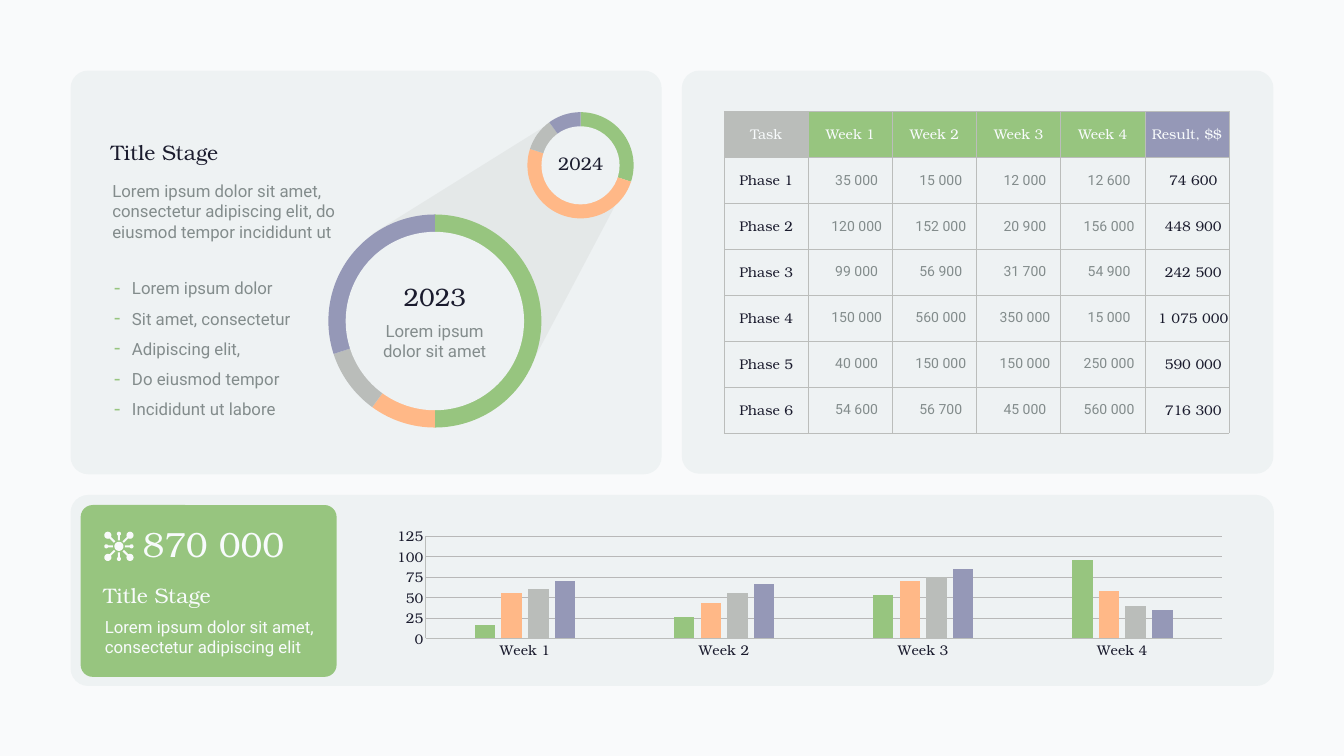
from dataclasses import dataclass
from math import asin, cos, hypot, pi, sin

from lxml.etree import SubElement
from pptx import Presentation
from pptx.chart.data import CategoryChartData
from pptx.dml.color import RGBColor as RGB
from pptx.enum.chart import XL_CHART_TYPE as ChartType, XL_TICK_MARK as TickMark
from pptx.enum.shapes import MSO_SHAPE as Shape
from pptx.enum.text import MSO_ANCHOR as Anchor, MSO_AUTO_SIZE as AutoSize, PP_ALIGN as Align
from pptx.oxml import parse_xml
from pptx.oxml.ns import nsdecls, qn
from pptx.util import Inches, Pt


@dataclass(frozen=True)
class Theme:
    serif: str = "TeX Gyre Bonum"
    sans: str = "Roboto"
    page: str = "F9FAFB"
    panel: str = "EEF2F3"
    light: str = "F8FBFC"
    dark: str = "1B1C2E"
    muted: str = "838C8C"
    green: str = "97C57F"
    orange: str = "FFB887"
    gray: str = "BABDBA"
    violet: str = "9598B7"
    line: str = "BBBDBB"
    grid: str = "B8B8B8"
    small: int = 20
    body: int = 24
    year: int = 26
    heading: int = 30
    big_year: int = 36
    total: int = 50

    @property
    def series(self):
        return self.green, self.orange, self.gray, self.violet


THEME = Theme()
NO_BREAK_SPACE = chr(160)
WEEKS = [f"Week {number}" for number in range(1, 5)]
RESULTS = [
    (35000, 15000, 12000, 12600, 74600),
    (120000, 152000, 20900, 156000, 448900),
    (99000, 56900, 31700, 54900, 242500),
    (150000, 560000, 350000, 15000, 1075000),
    (40000, 150000, 150000, 250000, 590000),
    (54600, 56700, 45000, 560000, 716300),
]
WEEKLY_SERIES = [(17, 26, 53, 96), (55, 43, 70, 58), (60, 55, 75, 40), (70, 67, 85, 35)]
BULLETS = ["Lorem ipsum dolor", "Sit amet, consectetur", "Adipiscing elit,",
           "Do eiusmod tempor", "Incididunt ut labore"]


def inches(*lengths):
    return [Inches(length) for length in lengths]


def apply(target, values):
    for name, value in values.items():
        setattr(target, name, value)


def style_font(font, size, color, face):
    apply(font, {"size": Pt(size), "name": face, "bold": False})
    font.color.rgb = RGB.from_string(color)


def style_line(line, color):
    line.color.rgb = RGB.from_string(color)
    line.width = Pt(1)


def paint(fill, color):
    fill.solid()
    fill.fore_color.rgb = RGB.from_string(color)


def circle_arc(x, y, radius, start, sweep, steps=24):
    angles = [start + sweep * step / steps for step in range(steps + 1)]
    return [(x + radius * cos(angle), y + radius * sin(angle)) for angle in angles]


def hub_contours(x, y):
    """Outlines of a round hub with eight arms that end in dots."""
    contours = [circle_arc(x, y, 0.09, 0, 2 * pi)]
    half_width, inner = 0.02, 0.12
    for arm in range(8):
        angle = arm * pi / 4
        radius, reach = (0.07, hypot(0.22, 0.22)) if arm % 2 else (0.04, 0.25)
        joint = asin(half_width / radius)
        outline = [(inner, half_width), (inner, -half_width)]
        outline += circle_arc(reach, 0, radius, pi + joint, 2 * pi - 2 * joint)
        contours.append([(x + a * cos(angle) - b * sin(angle),
                          y + a * sin(angle) + b * cos(angle)) for a, b in outline])
    return contours


class SlideBuilder:
    def __init__(self, page, theme):
        self.page, self.theme = page, theme
        page.background.fill.solid()
        page.background.fill.fore_color.rgb = RGB.from_string(theme.page)

    def finish_shape(self, shape, color):
        shape.shadow.inherit = False
        paint(shape.fill, color)
        shape.line.fill.background()

    def panel(self, left, top, width, height, color, radius=0.35):
        box = self.page.shapes.add_shape(
            Shape.ROUNDED_RECTANGLE, *inches(left, top, width, height))
        box.adjustments[0] = radius / min(width, height)
        self.finish_shape(box, color)

    def outline(self, contours, color, opacity=None):
        contours = [[inches(*point) for point in contour] for contour in contours]
        builder = self.page.shapes.build_freeform(*contours[0][0])
        builder.add_line_segments(contours[0][1:])
        for contour in contours[1:]:
            builder.move_to(*contour[0])
            builder.add_line_segments(contour[1:])
        shape = builder.convert_to_shape()
        self.finish_shape(shape, color)
        if opacity:
            tint = shape.element.xpath("./p:spPr/a:solidFill/a:srgbClr")[0]
            SubElement(tint, qn("a:alpha"), val=str(opacity * 1000))

    def fill_text(self, box, lines, size, color, face, align=Align.LEFT, bullet=False):
        frame = box.text_frame
        apply(frame, {"word_wrap": True, "auto_size": AutoSize.SHAPE_TO_FIT_TEXT,
                      "vertical_anchor": Anchor.TOP,
                      **{f"margin_{side}": Inches(0.06)
                         for side in ("left", "right", "top", "bottom")}})
        for index, line in enumerate(lines):
            para = frame.add_paragraph() if index else frame.paragraphs[0]
            para.alignment = align
            if bullet:
                self.add_bullet(para)
            span = para.add_run()
            span.text = line
            style_font(span.font, size, color, face)

    def add_bullet(self, para):
        para.line_spacing = 1.5
        props = para._p.get_or_add_pPr()
        props.set("marL", str(Inches(0.35)))
        props.set("indent", str(-Inches(0.35)))
        SubElement(SubElement(props, qn("a:buClr")), qn("a:srgbClr"), val=self.theme.green)
        SubElement(props, qn("a:buSzPct"), val="125000")
        SubElement(props, qn("a:buFont"), typeface=self.theme.sans)
        SubElement(props, qn("a:buChar"), char="-")

    def text(self, place, lines, *style, **options):
        box = self.page.shapes.add_textbox(*inches(*place))
        self.fill_text(box, lines, *style, **options)

    def title(self, place, text, *style):
        box = self.page.shapes.title
        apply(box, dict(zip(("left", "top", "width", "height"), inches(*place))))
        self.fill_text(box, [text], *style)
        box.element.getparent().append(box.element)  # bring in front of the panels

    def chart(self, kind, place, categories, series, layout):
        data = CategoryChartData()
        data.categories = categories
        for number, values in enumerate(series, 1):
            data.add_series(f"Series {number}", values)
        chart = self.page.shapes.add_chart(kind, *inches(*place), data).chart
        apply(chart, {"has_legend": False, "has_title": False})
        style_font(chart.font, self.theme.small, self.theme.dark, self.theme.serif)
        area = chart.element.xpath(".//c:plotArea")[0]
        for old in area.findall(qn("c:layout")):
            area.remove(old)
        sizes = "".join(f'<c:{key} val="{value}"/>' for key, value in zip("xywh", layout))
        area.insert(0, parse_xml(
            f'<c:layout {nsdecls("c")}><c:manualLayout><c:layoutTarget val="inner"/>'
            f'<c:xMode val="edge"/><c:yMode val="edge"/>{sizes}</c:manualLayout></c:layout>'))
        return chart

    def ring(self, x, y, size, hole, values):
        """Pie centred on x, y with a round hole laid over it."""
        place = (x - size / 2, y - size / 2, size, size)
        chart = self.chart(ChartType.PIE, place, "1234", [values], (0.005, 0.005, 0.99, 0.99))
        for index, color in enumerate(self.theme.series):
            paint(chart.plots[0].series[0].points[index].format.fill, color)
        center = self.page.shapes.add_shape(
            Shape.OVAL, *inches(x - hole / 2, y - hole / 2, hole, hole))
        self.finish_shape(center, self.theme.panel)

    def columns(self, place, categories, series):
        chart = self.chart(ChartType.COLUMN_CLUSTERED, place, categories, series,
                           (0.043, 0.122, 0.952, 0.688))
        apply(chart.plots[0], {"gap_width": 480, "overlap": -30, "vary_by_categories": False})
        for item, color in zip(chart.plots[0].series, self.theme.series):
            paint(item.format.fill, color)
        apply(chart.value_axis, {"minimum_scale": 0, "maximum_scale": 125, "major_unit": 25})
        for axis in (chart.category_axis, chart.value_axis):
            apply(axis, {"major_tick_mark": TickMark.NONE, "minor_tick_mark": TickMark.NONE})
            style_line(axis.format.line, self.theme.line)
            style_font(axis.tick_labels.font, self.theme.small, self.theme.dark, self.theme.serif)
        style_line(chart.value_axis.major_gridlines.format.line, self.theme.grid)

    def table(self, place, rows):
        theme, last = self.theme, len(rows[0]) - 1
        table = self.page.shapes.add_table(len(rows), last + 1, *inches(*place)).table
        apply(table, {"first_row": False, "horz_banding": False})
        for r, row in enumerate(rows):
            for c, value in enumerate(row):
                cell, edge = table.cell(r, c), c in (0, last)
                if r == 0:
                    paint(cell.fill, {0: theme.gray, last: theme.violet}.get(c, theme.green))
                    style = theme.light, theme.serif
                else:
                    cell.fill.background()
                    style = (theme.dark, theme.serif) if edge else (theme.muted, theme.sans)
                self.fill_cell(cell, value, style, 0.25 if r and c else 0)

    def fill_cell(self, cell, value, style, indent):
        apply(cell, {"vertical_anchor": Anchor.MIDDLE, "margin_left": 0, "margin_right": 0,
                     "margin_top": 0, "margin_bottom": 0})
        para = cell.text_frame.paragraphs[0]
        para.alignment = Align.CENTER
        para._p.get_or_add_pPr().set("indent", str(Inches(indent)))
        span = para.add_run()
        span.text = value
        style_font(span.font, self.theme.small, *style)
        for index, side in enumerate(("lnL", "lnR", "lnT", "lnB")):
            cell._tc.get_or_add_tcPr().insert(index, parse_xml(
                f'<a:{side} {nsdecls("a")} w="{Pt(1)}"><a:solidFill>'
                f'<a:srgbClr val="{self.theme.line}"/></a:solidFill></a:{side}>'))


def main():
    deck = Presentation()
    deck.slide_width, deck.slide_height = inches(26.67, 15)
    t = THEME
    board = SlideBuilder(deck.slides.add_slide(deck.slide_layouts[5]), t)

    for place in ((1.4, 9.82, 23.88, 3.79), (1.4, 1.4, 11.73, 8.01), (13.53, 1.4, 11.74, 8)):
        board.panel(*place, t.panel)
    board.panel(1.6, 10.02, 5.08, 3.41, t.green, radius=0.24)
    board.text((2.02, 12.17, 4.39, 0.92),
               ["Lorem ipsum dolor sit amet, consectetur adipiscing elit"], t.body, t.light, t.sans)
    board.text((1.99, 11.5, 2.74, 0.62), ["Title Stage"], t.heading, t.light, t.serif)
    board.text((2.77, 10.3, 3.17, 0.95), ["870 000"], t.total, t.light, t.serif)
    board.outline(hub_contours(2.36, 10.84), t.page)

    board.outline([[(7.39, 4.64), (11.03, 2.37), (12.21, 4.07), (10.34, 7.61)]], t.gray, opacity=19)
    board.ring(8.63, 6.37, 4.27, 3.54, (50, 10, 10, 30))
    board.ring(11.52, 3.28, 2.13, 1.55, (30, 50, 10, 10))
    board.text((7.26, 5.53, 2.74, 0.72), ["2023"], t.big_year, t.dark, t.serif, align=Align.CENTER)
    board.text((10.92, 2.96, 1.21, 0.55), ["2024"], t.year, t.dark, t.serif, align=Align.CENTER)
    board.text((7.3, 6.31, 2.65, 0.92), ["Lorem ipsum dolor sit amet"],
               t.body, t.muted, t.sans, align=Align.CENTER)
    board.text((2.17, 3.53, 5.36, 1.32),
               ["Lorem ipsum dolor sit amet, consectetur adipiscing elit, "
                "do eiusmod tempor incididunt ut"], t.body, t.muted, t.sans)
    board.title((2.14, 2.71, 2.74, 0.62), "Title Stage", t.heading, t.dark, t.serif)
    board.text((2.21, 5.26, 3.74, 3.07), BULLETS, t.body, t.muted, t.sans, bullet=True)

    board.columns((7.73, 10.28, 16.6, 2.95), WEEKS, WEEKLY_SERIES)
    rows = [["Task", *WEEKS, "Result, $$"]]
    for number, values in enumerate(RESULTS, 1):
        amounts = [f"{value:,}".replace(",", NO_BREAK_SPACE) for value in values]
        rows.append([f"Phase {number}", *amounts])
    board.table((14.37, 2.21, 10.02, 6.38), rows)
    deck.save("out.pptx")


if __name__ == "__main__":
    main()
